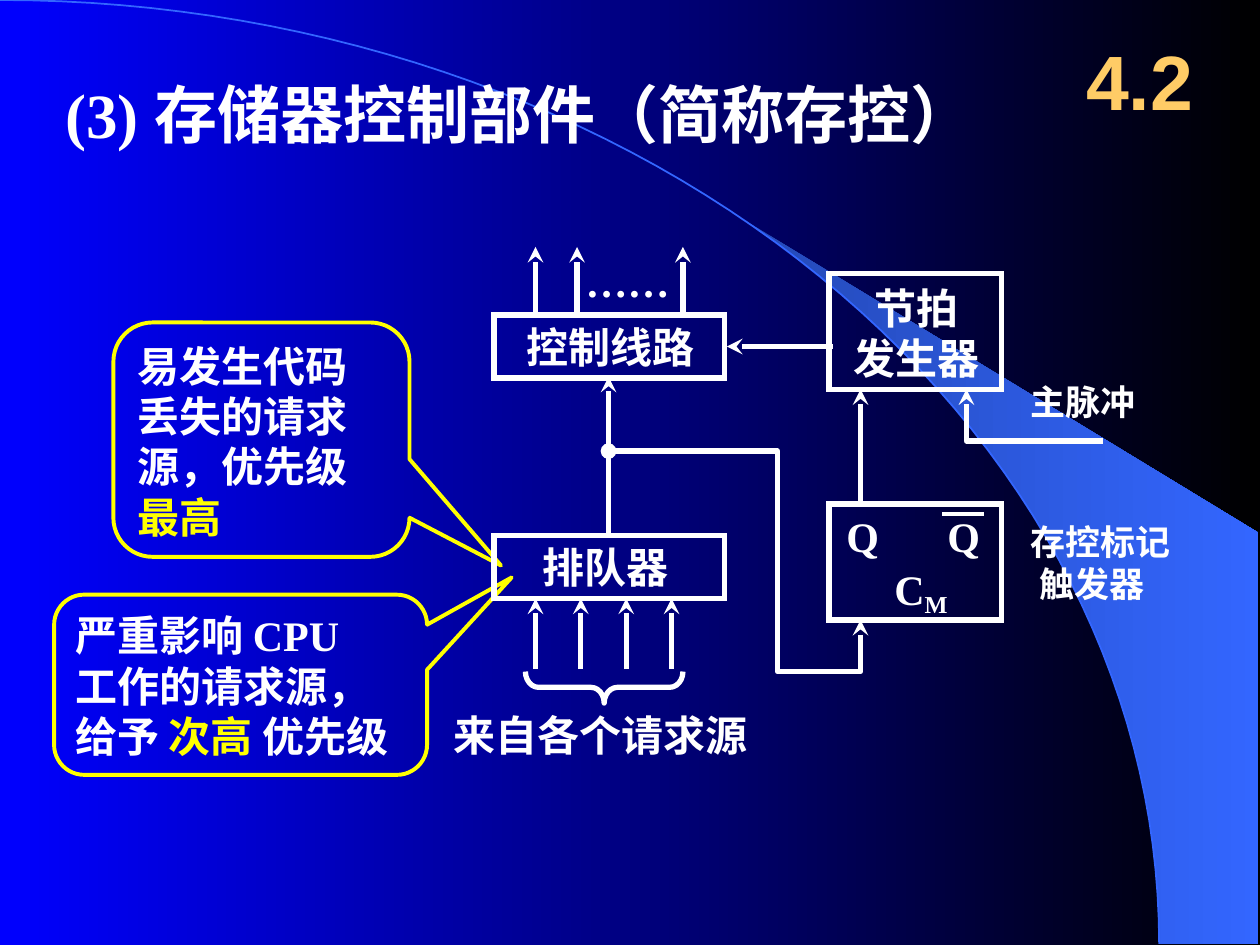
from dataclasses import dataclass
from math import asin, cos, pi, sin

from lxml import etree
from pptx import Presentation
from pptx.dml.color import RGBColor
from pptx.enum.shapes import MSO_CONNECTOR as Connector, MSO_SHAPE as Shape
from pptx.enum.text import MSO_ANCHOR as Anchor, PP_ALIGN as Align
from pptx.oxml.ns import qn
from pptx.util import Inches, Pt

COLORS = {"white": "FFFFFF", "yellow": "FFFF00", "gold": "FFCC66", "sky": "3366FF",
          "steel": "2449B6", "blue": "0000FF", "black": "000000"}
SERIF = "Times New Roman"
Point = tuple[float, float]


@dataclass
class Run:
    text: str
    color: str = "white"
    subscript: bool = False


@dataclass
class Label:
    lines: list[list[Run]]
    left: float
    top: float
    width: float
    height: float
    size: int = 24
    font: str = SERIF
    align: Align = Align.LEFT
    wrap: bool = False
    anchor: Anchor = Anchor.TOP


@dataclass
class Callout:
    label: Label
    adjustments: tuple[float, float, float]


def rgb(name: str) -> RGBColor:
    return RGBColor.from_string(COLORS[name])


def paint_gradient(fill, first: str, last: str) -> None:
    fill.gradient()
    fill.gradient_angle = 0
    for stop, color, position in zip(fill.gradient_stops, (first, last), (0, 1)):
        stop.color.rgb = rgb(color)
        stop.position = position


def style_line(shape, color: str = "white", width: float = 3, **ends: str) -> None:
    """Colour an outline; ends maps headEnd and tailEnd to arrowhead types."""
    shape.line.color.rgb = rgb(color)
    shape.line.width = Pt(width)
    for tag, kind in ends.items():
        etree.SubElement(shape.line._get_or_add_ln(), qn(f"a:{tag}"), type=kind)


def write_text(shape, label: Label) -> None:
    frame = shape.text_frame
    frame.word_wrap = label.wrap
    frame.vertical_anchor = label.anchor
    for number, line in enumerate(label.lines):
        para = frame.add_paragraph() if number else frame.paragraphs[0]
        para.alignment = label.align
        for part in line:
            span = para.add_run()
            span.text = part.text
            span.font.size = Pt(label.size)
            span.font.name = label.font
            span.font.bold = True
            span.font.color.rgb = rgb(part.color)
            if part.subscript:
                span.font._element.set("baseline", "-20000")


def add_label(page, label: Label):
    box = page.shapes.add_textbox(*map(Inches, (label.left, label.top, label.width, label.height)))
    write_text(box, label)
    return box


def add_outline(page, kind: Shape, place: tuple[float, float, float, float],
                color: str = "white", width: float = 3):
    shape = page.shapes.add_shape(kind, *map(Inches, place))
    shape.shadow.inherit = False
    shape.fill.background()
    style_line(shape, color, width)
    return shape


def add_callout(page, callout: Callout) -> None:
    label = callout.label
    shape = add_outline(page, Shape.ROUNDED_RECTANGULAR_CALLOUT,
                        (label.left, label.top, label.width, label.height), "yellow", 2.25)
    for index, value in enumerate(callout.adjustments):
        shape.adjustments[index] = value
    write_text(shape, label)


def add_line(page, start: Point, end: Point, width: float = 3, **ends: str) -> None:
    line = page.shapes.add_connector(Connector.STRAIGHT, *map(Inches, start + end))
    style_line(line, width=width, **ends)
    etree.SubElement(line._element.spPr, qn("a:effectLst"))


def add_path(page, points: list[Point], close: bool = False):
    corners = [(Inches(x), Inches(y)) for x, y in points]
    builder = page.shapes.build_freeform(*corners[0], scale=1.0)
    builder.add_line_segments(corners[1:], close=close)
    shape = builder.convert_to_shape()
    shape.shadow.inherit = False
    shape.fill.background()
    return shape


def arc_points(start_x: float, steps: int = 60) -> list[Point]:
    """Points on the quarter ellipse from start_x down to the bottom edge."""
    radius_x, radius_y = 9.2, 7.49
    start = asin(start_x / radius_x)
    angles = [start + (pi / 2 - start) * step / steps for step in range(steps + 1)]
    return [(radius_x * sin(angle), radius_y * (1 - cos(angle))) for angle in angles]


def draw_background(page) -> None:
    paint_gradient(page.background.fill, "blue", "black")
    beam = add_path(page, arc_points(5.89) + [(9.99, 7.49), (9.99, 4.23)], close=True)
    paint_gradient(beam.fill, "steel", "sky")
    beam.line.fill.background()
    style_line(add_path(page, arc_points(0)), "sky", 1)


BLOCKS = [(3.92, 2.5, 1.83, 0.5), (3.92, 4.25, 1.83, 0.5),
          (6.58, 2.17, 1.37, 0.92), (6.58, 4, 1.37, 0.92)]

LABELS = [
    Label([[Run("(3) 存储器控制部件（简称存控）")]], 0.42, 0.55, 8.25, 0.7, 36, wrap=True),
    Label([[Run("4.2", "gold")]], 8.42, 0.17, 1.25, 0.92, 44, "Arial", Align.CENTER,
          True, Anchor.MIDDLE),
    Label([[Run("控制线路")]], 4.08, 2.5, 1.55, 0.5),
    Label([[Run("排队器")]], 4.21, 4.25, 1.21, 0.5),
    Label([[Run("节拍")], [Run("发生器")]], 6.67, 2.19, 1.21, 0.9, align=Align.CENTER),
    Label([[Run("Q")]], 6.62, 4, 0.46, 0.5),
    Label([[Run("Q")]], 7.42, 4, 0.46, 0.5),
    Label([[Run("C"), Run("M", subscript=True)]], 7, 4.42, 0.65, 0.5),
    Label([[Run("来自各个请求源")]], 3.5, 5.58, 2.56, 0.5),
    Label([[Run("……")]], 4.55, 1.98, 0.87, 0.5),
    Label([[Run("主脉冲")]], 8.08, 2.97, 1.04, 0.43, 20),
]

FLIP_FLOP = Label([[Run("存控标记")], [Run("触发器")]], 8.08, 4.08, 1.5, 0.77, 20, wrap=True)

CALLOUTS = [
    Callout(Label([[Run("易发生代码")], [Run("丢失的请求源，优先级")], [Run("最高", "yellow")]],
                  0.9, 2.56, 2.35, 1.86, wrap=True), (0.809, 0.537, 0.167)),
    Callout(Label([[Run("严重影响 CPU")], [Run("工作的请求源，")],
                   [Run("给予 "), Run("次高 ", "yellow"), Run("优先级")]],
                  0.43, 4.72, 2.96, 1.43), (0.727, -0.596, 0.167)),
]

REQUESTS = [((4.25 + 0.36 * n, 5.31), (4.25 + 0.36 * n, 4.75)) for n in range(4)]
OUTPUTS = [((x, 2.52), (x, 1.96)) for x in (4.25, 4.58, 5.42)]
SIGNALS = [((6.83, 4), (6.83, 3.09)), ((4.83, 4.25), (4.83, 2.99)), ((6.61, 2.75), (5.77, 2.75))]


def main() -> None:
    deck = Presentation()
    deck.slide_width, deck.slide_height = Inches(10), Inches(7.5)
    page = deck.slides.add_slide(deck.slide_layouts[6])
    draw_background(page)

    # Callouts and block outlines
    for callout in CALLOUTS:
        add_callout(page, callout)
    for place in BLOCKS:
        block = add_outline(page, Shape.RECTANGLE, place)
        etree.SubElement(block.line._get_or_add_ln(), qn("a:miter"), lim="800000")

    # Text
    for label in LABELS:
        add_label(page, label)
    trigger = add_label(page, FLIP_FLOP).text_frame.paragraphs[1]
    trigger._p.get_or_add_pPr().set("marL", str(Inches(0.07)))

    # Arrows, the bar over Q and the bent signal paths
    for start, end in REQUESTS + OUTPUTS + SIGNALS:
        add_line(page, start, end, tailEnd="stealth")
    add_line(page, (7.48, 4.08), (7.81, 4.08), 2.25)
    pulse = add_path(page, [(8.75, 3.5), (7.67, 3.5), (7.67, 3.09)])
    style_line(pulse, tailEnd="stealth")
    feedback = add_path(page, [(6.83, 4.92), (6.83, 5.33), (6.17, 5.33), (6.17, 3.58), (4.83, 3.58)])
    style_line(feedback, headEnd="stealth", tailEnd="oval")

    # Brace gathering the request sources
    brace = add_outline(page, Shape.LEFT_BRACE, (4.67, 4.83, 0.25, 1.25))
    brace.rotation = 270
    brace.adjustments[0] = 0.417

    deck.save("out.pptx")


if __name__ == "__main__":
    main()
